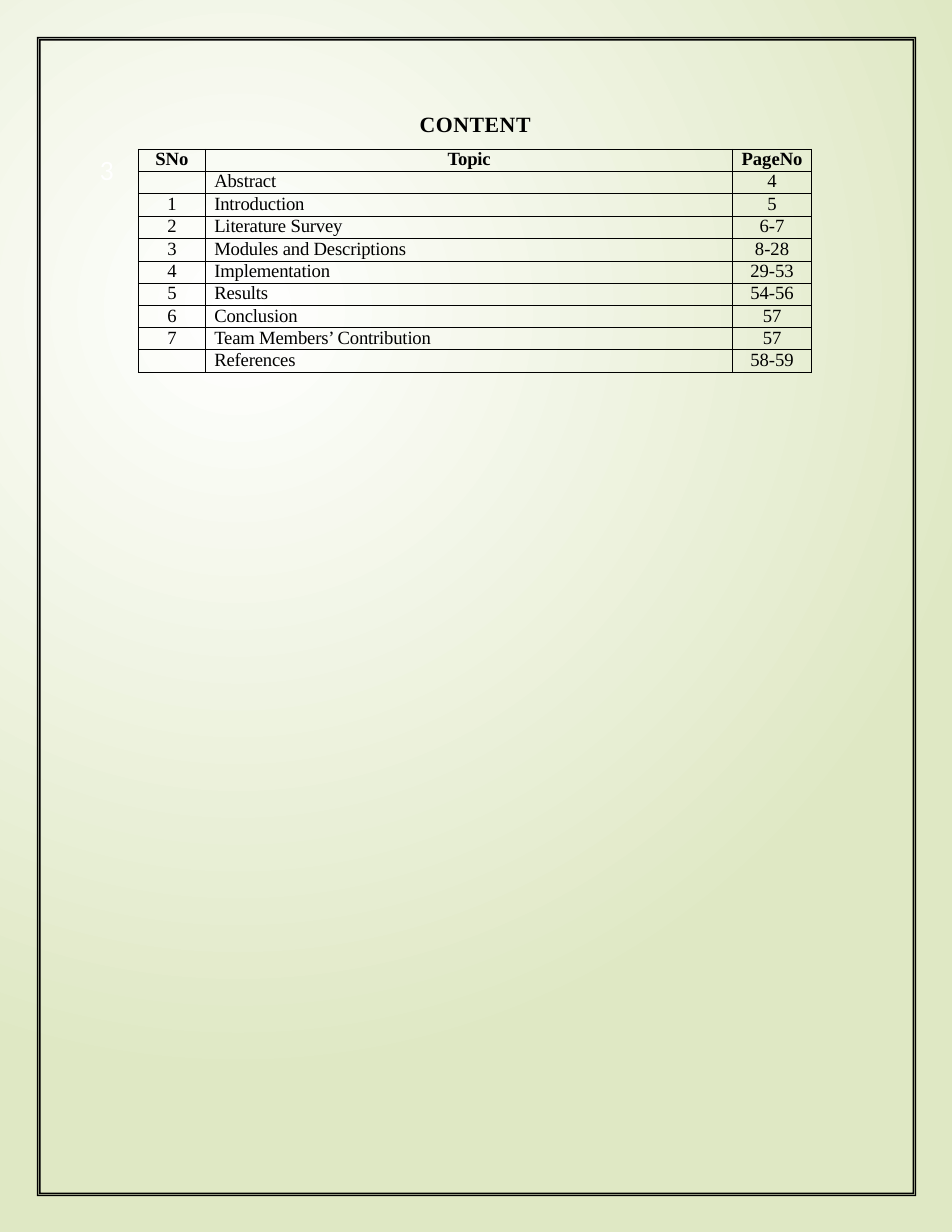
from dataclasses import dataclass

import pptx
import pptx.dml.color
import pptx.enum.text
import pptx.oxml
import pptx.oxml.ns
import pptx.slide
import pptx.table
import pptx.text.text
import pptx.util
from pptx.util import Cm

Pt = pptx.util.Pt
ALIGN = pptx.enum.text.PP_ALIGN
FONT = "Times New Roman"
COLORS = {"ink": "000000", "centre": "FFFFFF", "edge": "DFE8C4", "number": "FFFFFF"}
NS = pptx.oxml.ns.nsdecls("a")
COLUMN_WIDTHS = (1.52, 11.96, 1.78)
THIN, THICK = 0.75, 1


@dataclass
class Entry:
    number: str
    topic: str
    pages: str
    line_pt: float = 13.2
    height_cm: float = 0.5


ENTRIES = [
    Entry("SNo", "Topic", "PageNo"),
    Entry("", "Abstract", "4"),
    Entry("1", "Introduction", "5"),
    Entry("2", "Literature Survey", "6-7", 13.3),
    Entry("3", "Modules and Descriptions", "8-28", 14, 0.53),
    Entry("4", "Implementation", "29-53"),
    Entry("5", "Results", "54-56"),
    Entry("6", "Conclusion", "57", 13.3),
    Entry("7", "Team Members’ Contribution", "57"),
    Entry("", "References", "58-59"),
]


def rgb(name: str) -> pptx.dml.color.RGBColor:
    return pptx.dml.color.RGBColor.from_string(COLORS[name])


def style(p: pptx.text.text._Paragraph, size: float, bold: bool) -> None:
    p.font.name = FONT
    p.font.size = Pt(size)
    p.font.bold = bold
    p.font.color.rgb = rgb("ink")


def add_run(p: pptx.text.text._Paragraph, text: str, spacing: int = 0) -> None:
    """Add a run with letter spacing in hundredths of a point."""
    r = p.add_run()
    r.text = text
    r.font._element.set("spc", str(spacing))


def set_background(s: pptx.slide.Slide) -> None:
    """Fill with a radial gradient centred in the upper left quarter."""
    fill = s.background.fill
    fill.gradient()
    for stop, name in zip(fill.gradient_stops, ("centre", "edge")):
        stop.color.rgb = rgb(name)
    lin = s._element.find(".//" + pptx.oxml.ns.qn("a:lin"))
    lin.getparent().replace(lin, pptx.oxml.parse_xml(
        f'<a:path {NS} path="circle">'
        '<a:fillToRect l="50000" t="50000" r="100000" b="100000"/></a:path>'))


def add_textbox(s: pptx.slide.Slide, left: float, top: float, width: float,
                height: float) -> pptx.text.text.TextFrame:
    tf = s.shapes.add_textbox(Cm(left), Cm(top), Cm(width), Cm(height)).text_frame
    tf.word_wrap = True
    tf.margin_left = tf.margin_right = tf.margin_top = tf.margin_bottom = 0
    return tf


def add_title(s: pptx.slide.Slide) -> None:
    tf = add_textbox(s, 9.52, 2.46, 2.65, 0.69)
    tf.margin_top = Cm(0.05)
    p = tf.paragraphs[0]
    p.space_before = Pt(1.2)
    style(p, 14, True)
    add_run(p, "CONTEN", 30)
    add_run(p, "T", 10)


def add_page_number(s: pptx.slide.Slide) -> None:
    p = add_textbox(s, 1.6, 3.46, 0.98, 0.8).paragraphs[0]
    p.alignment = ALIGN.RIGHT
    p.font.size = Pt(18)
    p.font.color.rgb = rgb("number")
    add_run(p, "3")


def set_borders(cell: pptx.table._Cell, top: float, bottom: float) -> None:
    tc_pr = cell._tc.get_or_add_tcPr()
    sides = (("L", THIN), ("R", THIN), ("T", top), ("B", bottom))
    for i, (side, width) in enumerate(sides):
        tc_pr.insert(i, pptx.oxml.parse_xml(
            f'<a:ln{side} {NS} w="{Pt(width)}"><a:solidFill>'
            f'<a:srgbClr val="{COLORS["ink"]}"/></a:solidFill></a:ln{side}>'))


def add_contents(s: pptx.slide.Slide) -> None:
    frame = s.shapes.add_table(len(ENTRIES), len(COLUMN_WIDTHS), Cm(3.14), Cm(3.39),
                               Cm(sum(COLUMN_WIDTHS)),
                               Cm(sum(e.height_cm for e in ENTRIES)))
    table = frame.table
    table.first_row = table.horz_banding = False
    for column, width in zip(table.columns, COLUMN_WIDTHS):
        column.width = Cm(width)
    last = len(ENTRIES) - 1
    for i, entry in enumerate(ENTRIES):
        table.rows[i].height = Cm(entry.height_cm)
        for j, text in enumerate((entry.number, entry.topic, entry.pages)):
            cell = table.cell(i, j)
            cell.fill.background()
            cell.margin_left = cell.margin_right = 0
            cell.margin_top = cell.margin_bottom = 0
            p = cell.text_frame.paragraphs[0]
            p.line_spacing = Pt(entry.line_pt)
            style(p, 12, i == 0)
            if j == 1 and i > 0:
                cell.margin_left = Cm(0.2)
            else:
                p.alignment = ALIGN.CENTER
            if text:
                add_run(p, text, -10 if j == 1 else 0)
            set_borders(cell, THICK if i == last else THIN,
                        THICK if i == last - 1 else THIN)


def add_border(s: pptx.slide.Slide) -> None:
    """Draw two thin frames as nested rectangles in one outline."""
    builder = s.shapes.build_freeform(Cm(0.84), Cm(0.84))
    for inset in (0, 0.03, 0.05, 0.08):
        left = top = Cm(0.84 + inset)
        right, bottom = Cm(20.78 - inset), Cm(27.13 - inset)
        corners = [(right, top), (right, bottom), (left, bottom)]
        if inset in (0.03, 0.08):
            corners.reverse()
        if inset:
            builder.move_to(left, top)
        builder.add_line_segments(corners, close=True)
    sp = builder.convert_to_shape()
    sp.shadow.inherit = False
    sp.fill.solid()
    sp.fill.fore_color.rgb = rgb("ink")
    sp.line.fill.background()


def main() -> None:
    prs = pptx.Presentation()
    prs.slide_width, prs.slide_height = Cm(21.59), Cm(27.94)
    s = prs.slides.add_slide(prs.slide_layouts[6])
    set_background(s)
    add_page_number(s)
    add_title(s)
    add_contents(s)
    add_border(s)
    prs.save("out.pptx")


if __name__ == "__main__":
    main()
